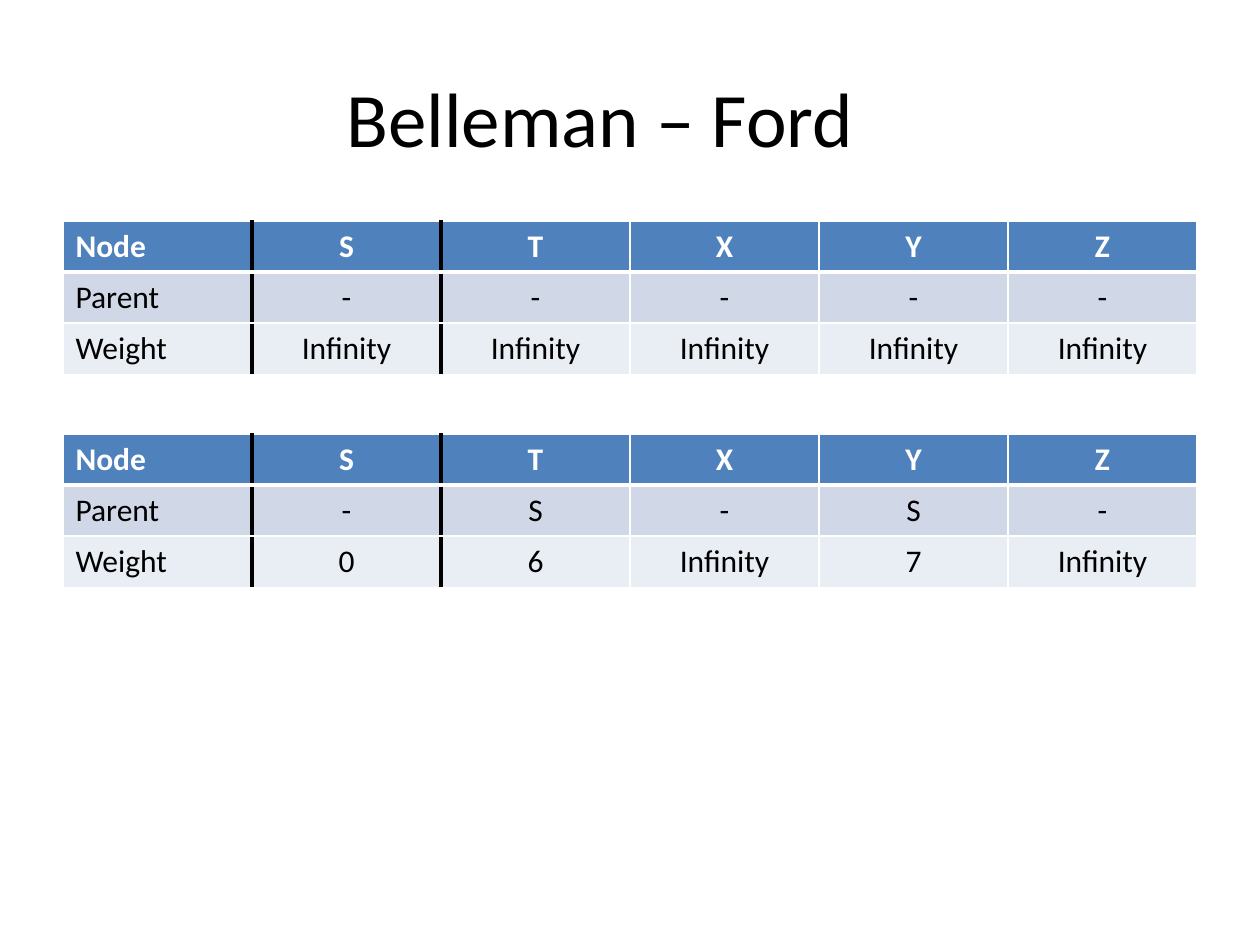
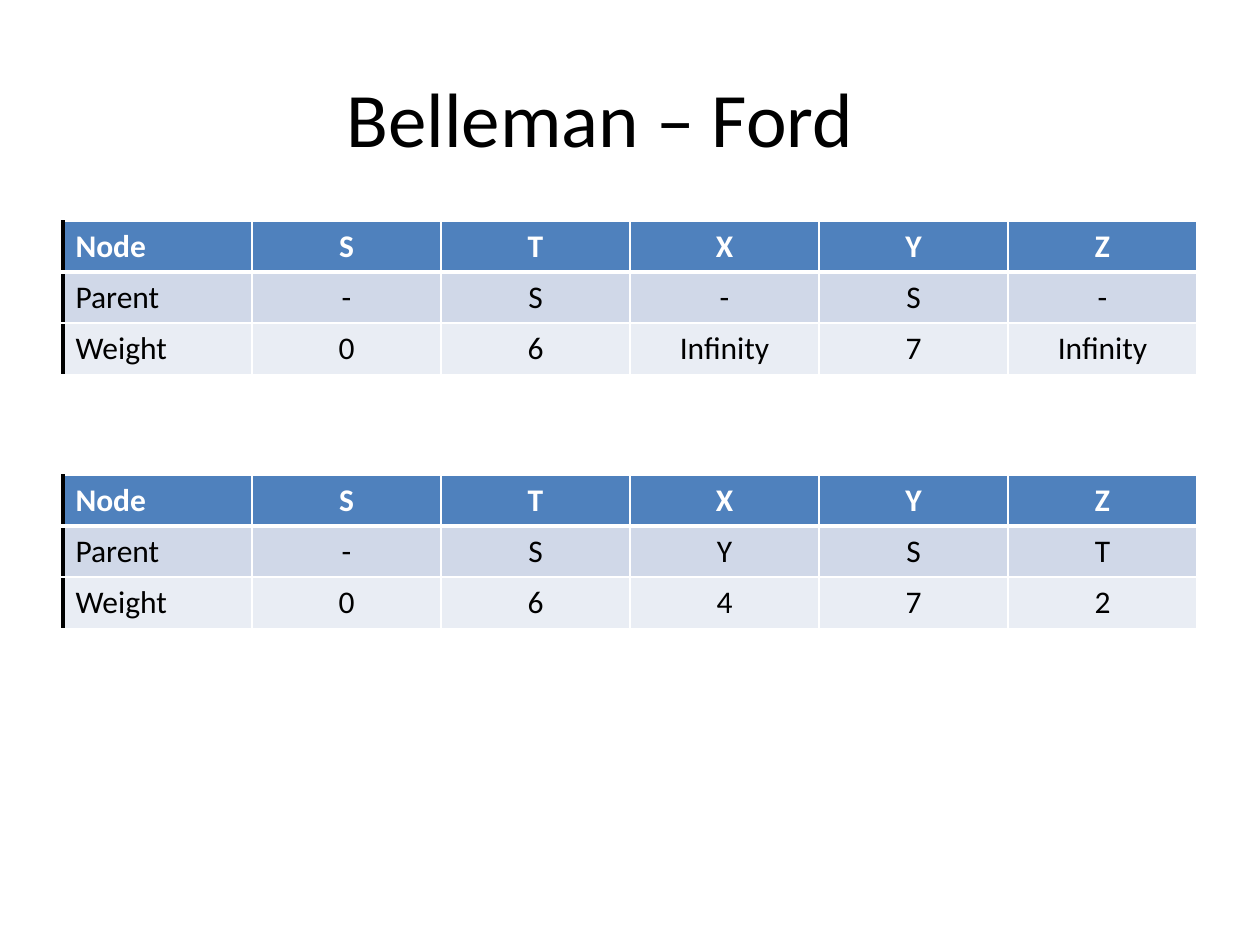
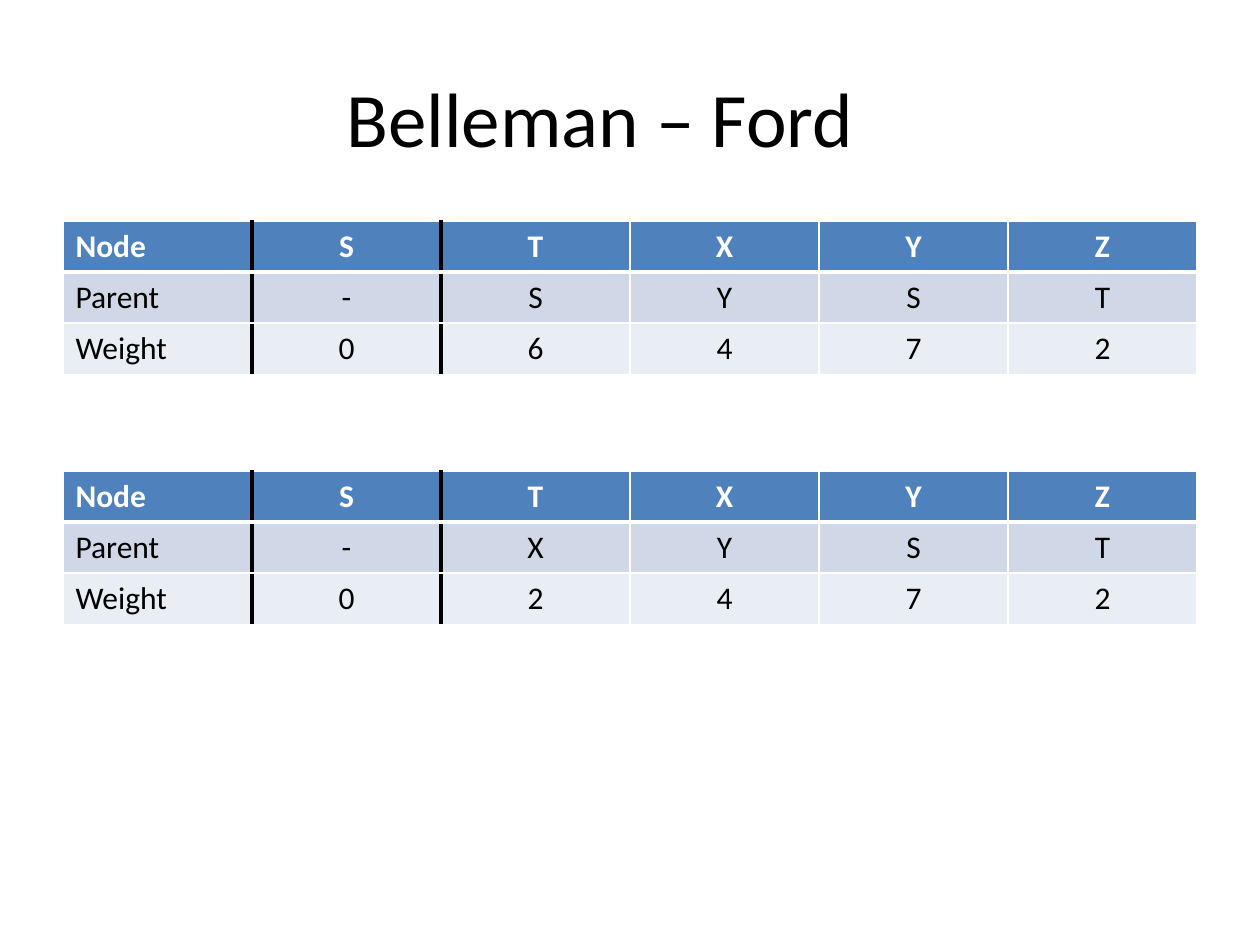
"""Build three slides that trace the Belleman – Ford tables step by step."""
from lxml.etree import SubElement
from pptx import Presentation
from pptx.dml.color import RGBColor
from pptx.enum.text import MSO_ANCHOR, PP_ALIGN
from pptx.oxml.ns import qn
from pptx.util import Pt

FONT = "Calibri"
BLACK, WHITE = "000000", "FFFFFF"
BANDS = ["4F81BD", "D0D8E8", "E9EDF4"]
LEFT, WIDE = 63, 1134
COL, ROW = 189, 51
HEAD = "Node S T X Y Z"
START = ["Parent - - - - -", "Weight Infinity Infinity Infinity Infinity Infinity"]
FIRST = ["Parent - S - S -", "Weight 0 6 Infinity 7 Infinity"]
NEXT = ["Parent - S Y S T", "Weight 0 6 4 7 2"]
LAST = ["Parent - X Y S T", "Weight 0 2 4 7 2"]
STEPS = [
    ([1, 2], [(221, START), (434, FIRST)]),
    ([0], [(221, FIRST), (475, NEXT)]),
    ([1, 2], [(221, NEXT), (471, LAST)]),
]


def px(count):
    """Turn picture pixels into EMU."""
    return round(count * 914400 / 126)


def write(para, text, size, code, bold=False):
    """Add one styled run to a paragraph."""
    run = para.add_run()
    run.text = text
    run.font.name = FONT
    run.font.size = Pt(size)
    run.font.bold = bold
    run.font.color.rgb = RGBColor.from_string(code)


deck = Presentation()
deck.slide_width, deck.slide_height = px(1260), px(945)

for marks, grids in STEPS:
    slide = deck.slides.add_slide(deck.slide_layouts[5])
    title = slide.shapes.title
    title.left, title.top = px(LEFT), px(38)
    title.width, title.height = px(WIDE), px(158)
    title.text_frame.vertical_anchor = MSO_ANCHOR.MIDDLE
    para = title.text_frame.paragraphs[0]
    para.alignment = PP_ALIGN.CENTER
    write(para, "Belleman – Ford \t", 44, BLACK)

    for top, body in grids:
        lines = [line.split() for line in [HEAD, *body]]
        frame = slide.shapes.add_table(
            len(lines), len(lines[0]), px(LEFT), px(top), px(WIDE), px(ROW * len(lines)))
        table = frame.table
        for col in table.columns:
            col.width = px(COL)
        for row, line in enumerate(lines):
            table.rows[row].height = px(ROW)
            for col, word in enumerate(line):
                cell = table.cell(row, col)
                props = cell._tc.get_or_add_tcPr()
                edges = [("L", col in marks, False), ("R", col + 1 in marks, False),
                         ("T", False, row == 1), ("B", False, row == 0)]
                for side, dark, thick in edges:
                    width = Pt(3 if dark or thick else 1)
                    edge = SubElement(props, qn("a:ln" + side), w=str(width))
                    fill = SubElement(edge, qn("a:solidFill"))
                    SubElement(fill, qn("a:srgbClr"), val=BLACK if dark else WHITE)
                cell.fill.solid()
                cell.fill.fore_color.rgb = RGBColor.from_string(BANDS[row])
                para = cell.text_frame.paragraphs[0]
                para.alignment = PP_ALIGN.CENTER if col else PP_ALIGN.LEFT
                write(para, word, 18, BLACK if row else WHITE, row == 0)

deck.save("out.pptx")
